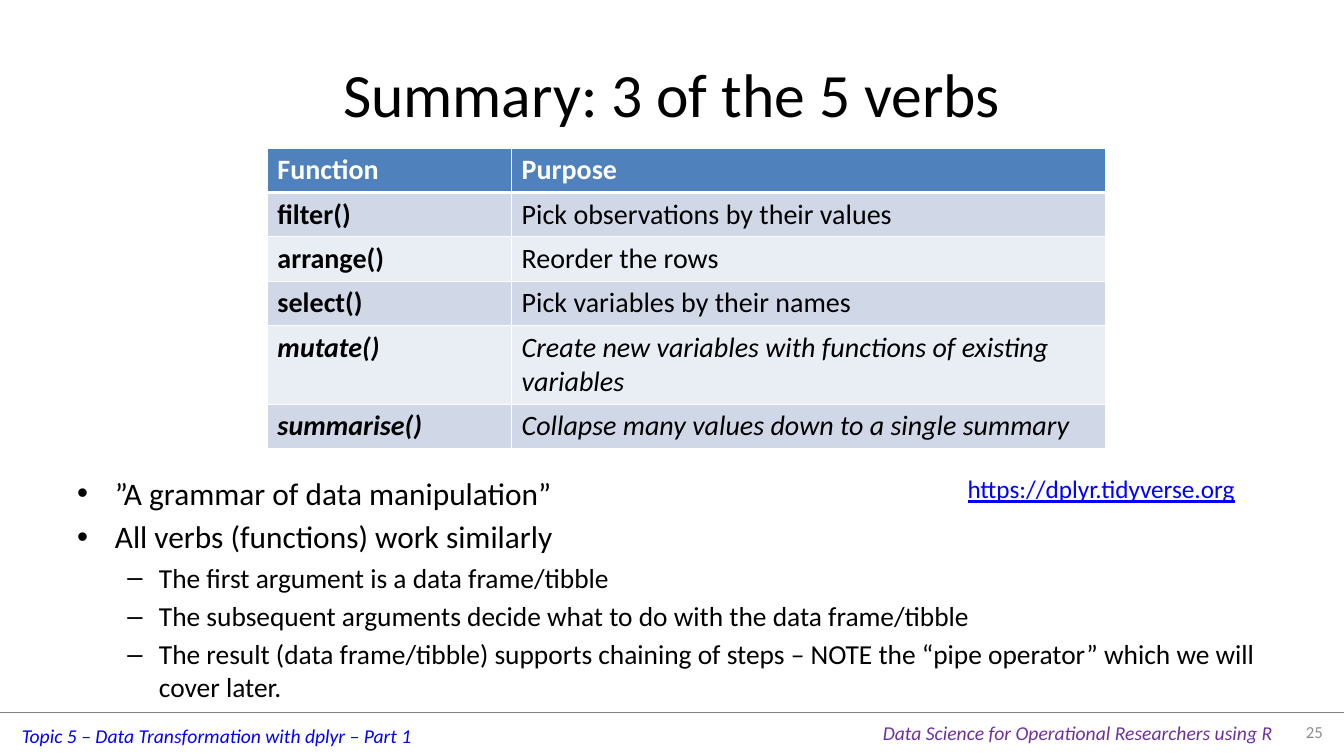
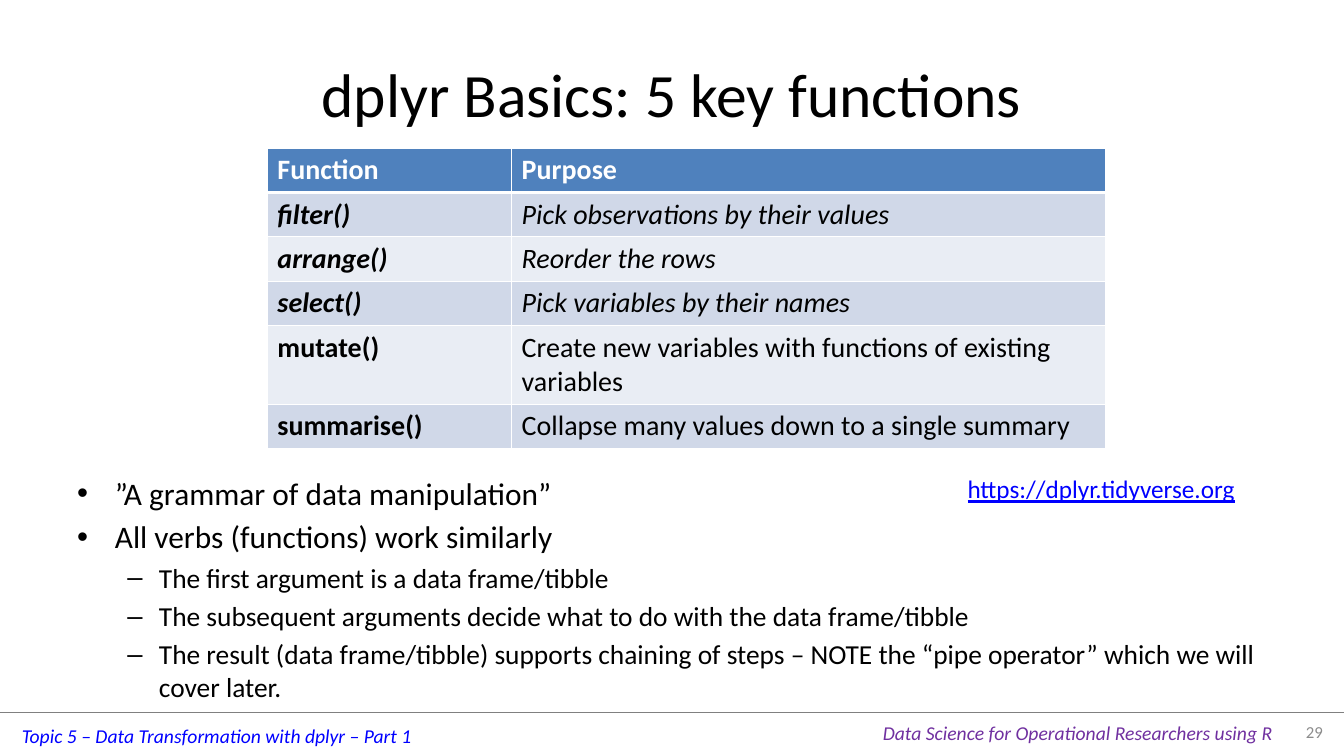
from lxml import etree
from pptx import Presentation
from pptx.dml.color import RGBColor
from pptx.enum import shapes, text
from pptx.oxml.ns import qn
from pptx.util import Pt

WIDTH, HEIGHT = 960, 540
FOOTER_TOP = 509
VERBS = [
    ("filter()", "Pick observations by their values"),
    ("arrange()", "Reorder the rows"),
    ("select()", "Pick variables by their names"),
    ("mutate()", "Create new variables with functions of existing variables"),
    ("summarise()", "Collapse many values down to a single summary"),
]
NOTES = [
    (0, "”A grammar of data manipulation”"),
    (0, "All verbs (functions) work similarly"),
    (1, "The first argument is a data frame/tibble"),
    (1, "The subsequent arguments decide what to do with the data frame/tibble"),
    (1, "The result (data frame/tibble) supports chaining of steps – "
        "NOTE the “pipe operator” which we will cover later."),
]
# Slide title, page number, verbs set in italics
SLIDES = [
    ("Summary: 3 of the 5 verbs", 25, {"mutate()", "summarise()"}),
    ("dplyr Basics: 5 key functions", 29, {"filter()", "arrange()", "select()"}),
]


def rgb(value):
    return RGBColor.from_string(value)


class Deck:
    FONT = "Calibri"
    BLACK, WHITE, BLUE, PURPLE = "000000", "FFFFFF", "0000FF", "7030A0"
    RULE, NUMBER = "808080", "8C8C8C"
    HEADER, BANDS = "4F81BD", ("D0D8E8", "E9EDF4")
    # Per level: bullet, left margin, hanging indent, size
    LEVELS = (("•", 27, 27, 22.4), ("–", 58.5, 22.5, 19.6))

    def __init__(self):
        self.prs = Presentation()
        self.prs.slide_width, self.prs.slide_height = Pt(WIDTH), Pt(HEIGHT)
        self.slide = None

    def new_slide(self, heading, number):
        self.slide = self.prs.slides.add_slide(self.prs.slide_layouts[6])
        # Footer
        self.rule(FOOTER_TOP)
        self.label("Topic 5 – Data Transformation with dplyr – Part 1",
                   (8.5, 513.5, 297, 24.5), 14, self.BLUE, wrap=False, italic=True)
        self.label("Data Science for Operational Researchers using R",
                   (623.5, 511.7, 296, 24.5), 14, self.PURPLE, wrap=False, italic=True)
        self.label(str(number), (912, FOOTER_TOP, 40, 28), 12, self.NUMBER,
                   align=text.PP_ALIGN.RIGHT, anchor=text.MSO_ANCHOR.MIDDLE)
        # Title
        self.label(heading, (48, 21.6, 864, 90), 44, self.BLACK,
                   align=text.PP_ALIGN.CENTER, anchor=text.MSO_ANCHOR.MIDDLE)

    def rule(self, top):
        line = self.slide.shapes.add_connector(
            shapes.MSO_CONNECTOR.STRAIGHT, 0, Pt(top), Pt(WIDTH), Pt(top))
        line.line.color.rgb = rgb(self.RULE)
        line.line.width = Pt(0.25)
        etree.SubElement(line._element.spPr, qn("a:effectLst"))

    def frame(self, box, wrap=True, anchor=text.MSO_ANCHOR.TOP):
        frame = self.slide.shapes.add_textbox(*map(Pt, box)).text_frame
        frame.word_wrap = wrap
        frame.vertical_anchor = anchor
        return frame

    def run(self, paragraph, words, size, color, **style):
        run = paragraph.add_run()
        run.text = words
        run.font.name, run.font.size = self.FONT, Pt(size)
        run.font.color.rgb = rgb(color)
        for key, value in style.items():
            setattr(run.font, key, value)

    def label(self, words, box, size, color, wrap=True, align=text.PP_ALIGN.LEFT,
              anchor=text.MSO_ANCHOR.TOP, **style):
        paragraph = self.frame(box, wrap, anchor).paragraphs[0]
        paragraph.alignment = align
        self.run(paragraph, words, size, color, **style)

    def bullets(self, items, box):
        frame = self.frame(box)
        for i, (level, words) in enumerate(items):
            paragraph = frame.add_paragraph() if i else frame.paragraphs[0]
            mark, margin, hang, size = self.LEVELS[level]
            paragraph.level = level
            if i:
                paragraph.space_before = Pt(size * 0.2)
            props = paragraph._p.get_or_add_pPr()
            props.set("marL", str(Pt(margin)))
            props.set("indent", str(-Pt(hang)))
            etree.SubElement(props, qn("a:buFont"), typeface="Arial")
            etree.SubElement(props, qn("a:buChar"), char=mark)
            self.run(paragraph, words, size, self.BLACK)

    def cell(self, cell, words, fill, color, borders, **style):
        props = cell._tc.get_or_add_tcPr()
        for side, width in zip("LRTB", borders):
            line = etree.SubElement(props, qn(f"a:ln{side}"), w=str(Pt(width)))
            solid = etree.SubElement(line, qn("a:solidFill"))
            etree.SubElement(solid, qn("a:srgbClr"), val=self.WHITE)
        cell.fill.solid()
        cell.fill.fore_color.rgb = rgb(fill)
        self.run(cell.text_frame.paragraphs[0], words, 20, color, **style)

    def table(self, header, rows, italics, left, top, widths, heights):
        table = self.slide.shapes.add_table(
            len(heights), len(widths), Pt(left), Pt(top),
            Pt(sum(widths)), Pt(sum(heights))).table
        for column, width in zip(table.columns, widths):
            column.width = Pt(width)
        for r, (entries, height) in enumerate(zip([header, *rows], heights)):
            table.rows[r].height = Pt(height)
            fill = self.BANDS[(r - 1) % 2] if r else self.HEADER
            color = self.BLACK if r else self.WHITE
            # The thick rule lies between the header and the first verb
            borders = (1, 1, 3 if r == 1 else 1, 1 if r else 3)
            for c, words in enumerate(entries):
                self.cell(table.cell(r, c), words, fill, color, borders,
                          bold=r == 0 or c == 0, italic=entries[0] in italics)


def main():
    deck = Deck()
    for heading, number, italics in SLIDES:
        deck.new_slide(heading, number)
        deck.bullets(NOTES, (48, 334.8, 864, 156))
        deck.table(("Function", "Purpose"), VERBS, italics, 191, 105.8,
                   (174.5, 424), (31.7, 31.7, 31.7, 31.7, 56.2, 31.7))
        deck.label("https://dplyr.tidyverse.org", (684, 334.8, 212, 29),
                   18, deck.BLUE, underline=True)
    deck.prs.save("out.pptx")


if __name__ == "__main__":
    main()
